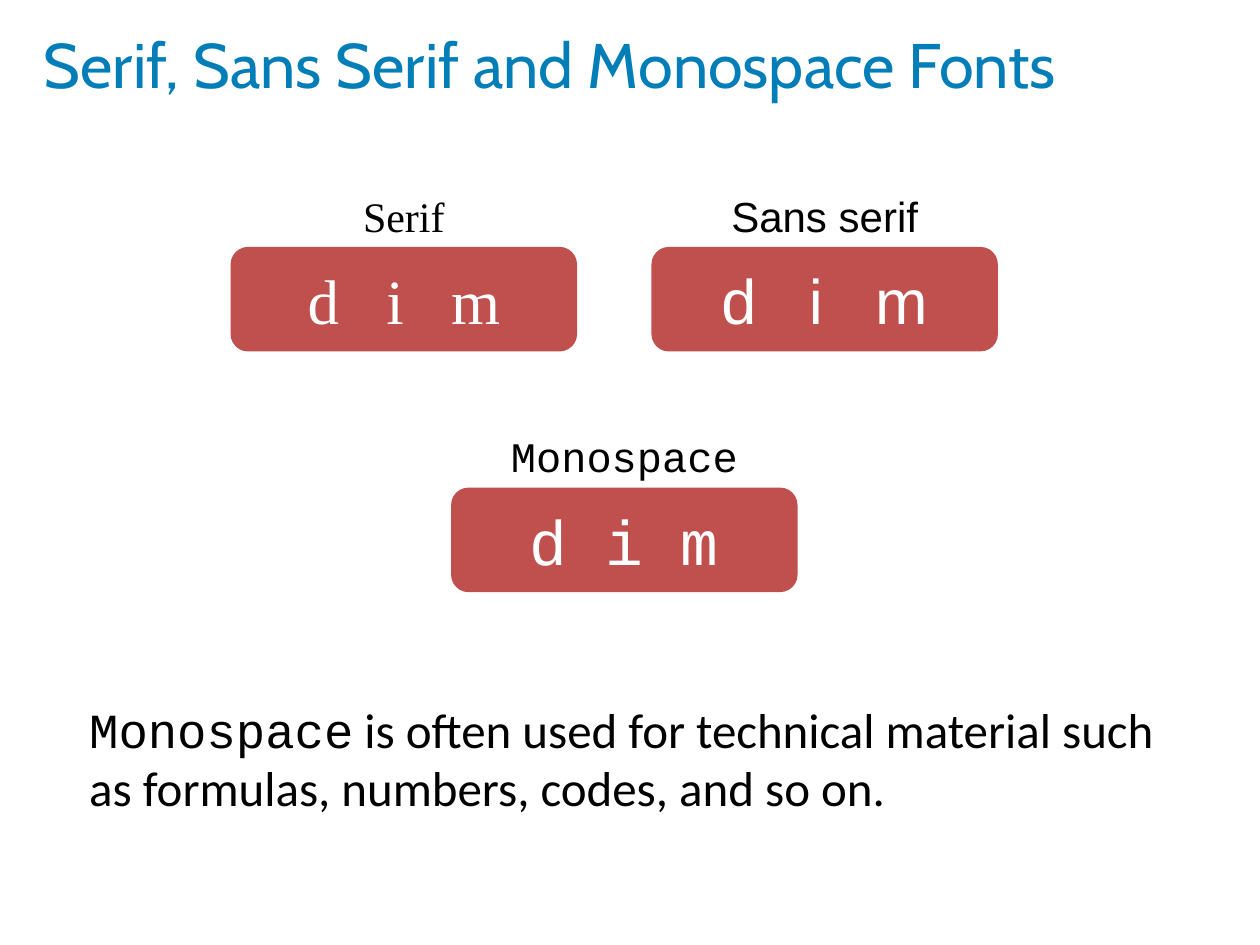
import dataclasses
import pptx
import pptx.util
import pptx.dml.color
import pptx.enum.shapes
import pptx.enum.text

Inches = pptx.util.Inches
Align = pptx.enum.text.PP_ALIGN
Anchor = pptx.enum.text.MSO_ANCHOR

HUES = {"title": "017EB8", "card": "C0504D", "light": "FFFFFF", "dark": "000000"}
WIDE, HIGH = 2.75, 0.83
LABEL = 2.08
RISE = 0.5


@dataclasses.dataclass
class Card:
    name: str
    text: str
    font: str
    left: float
    top: float


CARDS = [
    Card("Serif", "d   i   m", "Times New Roman", 1.83, 1.96),
    Card("Sans serif", "d   i   m", "Arial", 5.17, 1.96),
    Card("Monospace", "d i m", "Courier New", 3.58, 3.87),
]


def color(key: str) -> pptx.dml.color.RGBColor:
    return pptx.dml.color.RGBColor.from_string(HUES[key])


def style(run, font: str, size: int, hue: str) -> None:
    run.font.name = font
    run.font.size = pptx.util.Pt(size)
    run.font.color.rgb = color(hue)


def add_text(slide, left: float, top: float, width: float, height: float):
    box = slide.shapes.add_textbox(
        Inches(left), Inches(top), Inches(width), Inches(height))
    box.text_frame.word_wrap = True
    return box.text_frame


def fill_text(frame, text: str, font: str, size: int, hue: str, align) -> None:
    frame.text = text
    para = frame.paragraphs[0]
    para.alignment = align
    style(para.runs[0], font, size, hue)


def draw_card(slide, card: Card) -> None:
    shape = slide.shapes.add_shape(
        pptx.enum.shapes.MSO_SHAPE.ROUNDED_RECTANGLE,
        Inches(card.left), Inches(card.top), Inches(WIDE), Inches(HIGH))
    shape.shadow.inherit = False
    shape.fill.solid()
    shape.fill.fore_color.rgb = color("card")
    shape.line.fill.background()
    shape.text_frame.vertical_anchor = Anchor.MIDDLE
    fill_text(shape.text_frame, card.text, card.font, 36, "light", Align.CENTER)
    left = card.left + (WIDE - LABEL) / 2
    frame = add_text(slide, left, card.top - RISE, LABEL, 0.51)
    fill_text(frame, card.name, card.font, 24, "dark", Align.CENTER)


def draw_note(slide) -> None:
    para = add_text(slide, 0.61, 5.5, 9.03, 1.04).paragraphs[0]
    parts = [
        ("Monospace", "Courier New"),
        (" is often used for technical material such as formulas, "
         "numbers, codes, and so on.", "Calibri"),
    ]
    for text, font in parts:
        run = para.add_run()
        run.text = text
        style(run, font, 28, "dark")


def main() -> None:
    deck = pptx.Presentation()
    deck.slide_width, deck.slide_height = Inches(10), Inches(7.5)
    slide = deck.slides.add_slide(deck.slide_layouts[6])
    title = add_text(slide, 0.25, 0, 9.41, 1)
    title.vertical_anchor = Anchor.MIDDLE
    fill_text(title, "Serif, Sans Serif and Monospace Fonts",
              "Cabin", 36, "title", Align.LEFT)
    for card in CARDS:
        draw_card(slide, card)
    draw_note(slide)
    deck.save("out.pptx")


if __name__ == "__main__":
    main()
